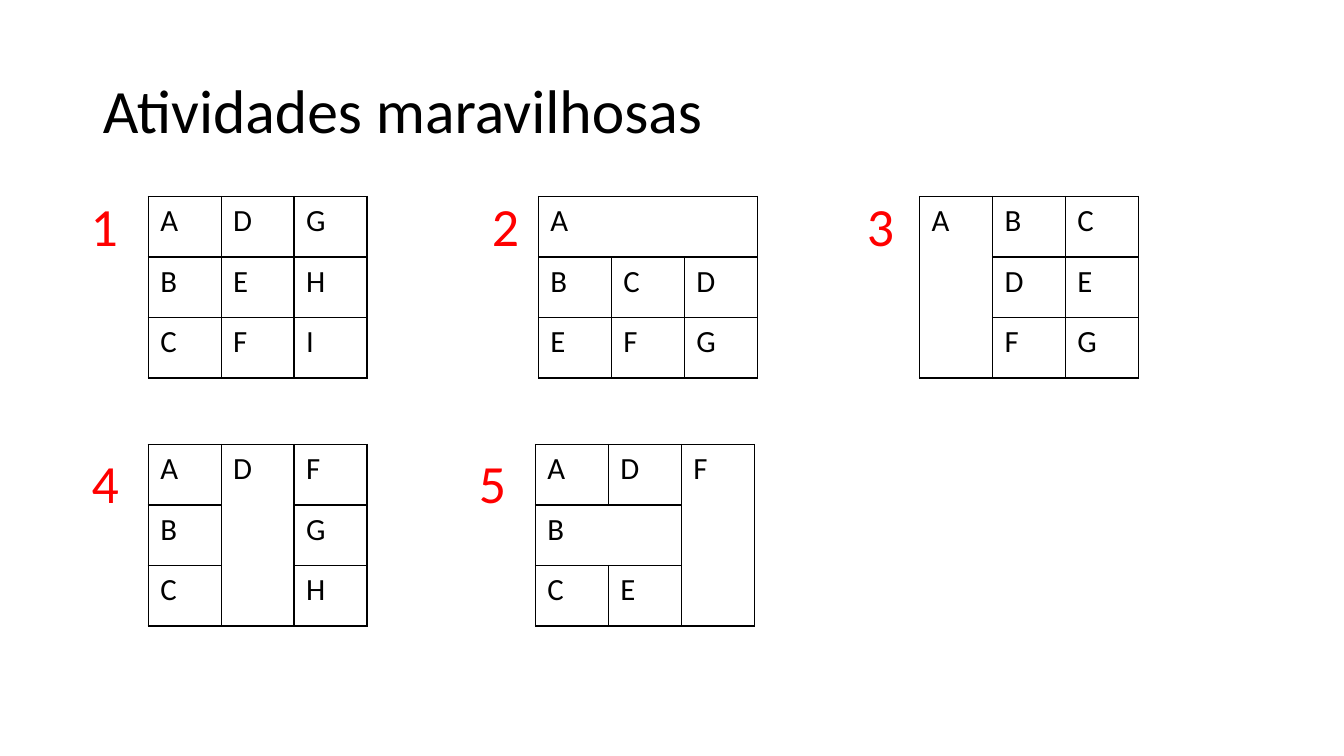
import pptx
import pptx.util
import pptx.dml.color
import pptx.enum.text
import pptx.oxml
import pptx.oxml.ns

Inches = pptx.util.Inches
Pt = pptx.util.Pt
RGBColor = pptx.dml.color.RGBColor

TITLE = "Atividades maravilhosas"
# Number, number position, grid position, rows.
# "<" continues the cell on the left, "^" continues the cell above.
ACTIVITIES = [
    ("1", (0.8, 1.86), (1.47, 1.95), ["ADG", "BEH", "CFI"]),
    ("2", (4.78, 1.86), (5.34, 1.95), ["A<<", "BCD", "EFG"]),
    ("3", (8.5, 1.86), (9.12, 1.95), ["ABC", "^DE", "^FG"]),
    ("4", (0.81, 4.41), (1.47, 4.41), ["ADF", "B^G", "C^H"]),
    ("5", (4.65, 4.41), (5.31, 4.41), ["ADF", "B<^", "CE^"]),
]

FONT = "Calibri"
BLACK = RGBColor(0x00, 0x00, 0x00)
RED = RGBColor(0xFF, 0x00, 0x00)
WHITE = RGBColor(0xFF, 0xFF, 0xFF)
GRID_SIZE = 3
GRID_WIDTH, GRID_HEIGHT = 2.17, 1.8


def style(paragraph, size, color):
    paragraph.font.name = FONT
    paragraph.font.size = Pt(size)
    paragraph.font.color.rgb = color


def add_borders(cell):
    properties = cell._tc.get_or_add_tcPr()
    for position, side in enumerate(("lnL", "lnR", "lnT", "lnB")):
        properties.insert(position, pptx.oxml.parse_xml(
            f'<a:{side} {pptx.oxml.ns.nsdecls("a")} w="{Pt(1)}"><a:solidFill>'
            f'<a:srgbClr val="{BLACK}"/></a:solidFill></a:{side}>'))


def add_number(slide, number, left, top):
    label = slide.shapes.add_textbox(Inches(left), Inches(top), Inches(0.48), Inches(0.75))
    label.text_frame.word_wrap = False
    label.text_frame.auto_size = pptx.enum.text.MSO_AUTO_SIZE.SHAPE_TO_FIT_TEXT
    label.text_frame.text = number
    style(label.text_frame.paragraphs[0], 38.4, RED)


def add_grid(slide, rows, left, top):
    grid = slide.shapes.add_table(GRID_SIZE, GRID_SIZE, Inches(left), Inches(top),
                                  Inches(GRID_WIDTH), Inches(GRID_HEIGHT)).table
    grid.first_row = grid.horz_banding = False
    for r, row in enumerate(rows):
        for c, letter in enumerate(row):
            cell = grid.cell(r, c)
            cell.fill.solid()
            cell.fill.fore_color.rgb = WHITE
            cell.margin_left = cell.margin_right = Inches(0.12)
            cell.margin_top = cell.margin_bottom = Inches(0.06)
            add_borders(cell)
            if letter not in "<^":
                cell.text = letter
            style(cell.text_frame.paragraphs[0], 22, BLACK)
    for r, row in enumerate(rows):
        for c in range(GRID_SIZE):
            right, bottom = c, r
            while right + 1 < GRID_SIZE and row[right + 1] == "<":
                right += 1
            while bottom + 1 < GRID_SIZE and rows[bottom + 1][c] == "^":
                bottom += 1
            if row[c] not in "<^" and (right, bottom) != (c, r):
                grid.cell(r, c).merge(grid.cell(bottom, right))


presentation = pptx.Presentation()
presentation.slide_width = Inches(13.33)
presentation.slide_height = Inches(7.5)
slide = presentation.slides.add_slide(presentation.slide_layouts[5])

title = slide.shapes.title
title.left, title.top = Inches(0.92), Inches(0.4)
title.width, title.height = Inches(11.5), Inches(1.45)
title.text_frame.text = TITLE
title.text_frame.vertical_anchor = pptx.enum.text.MSO_ANCHOR.MIDDLE
heading = title.text_frame.paragraphs[0]
heading.alignment = pptx.enum.text.PP_ALIGN.LEFT
heading.line_spacing = 0.9
style(heading, 44, BLACK)

for number, number_at, grid_at, rows in ACTIVITIES:
    add_grid(slide, rows, *grid_at)
    add_number(slide, number, *number_at)

presentation.save("out.pptx")
